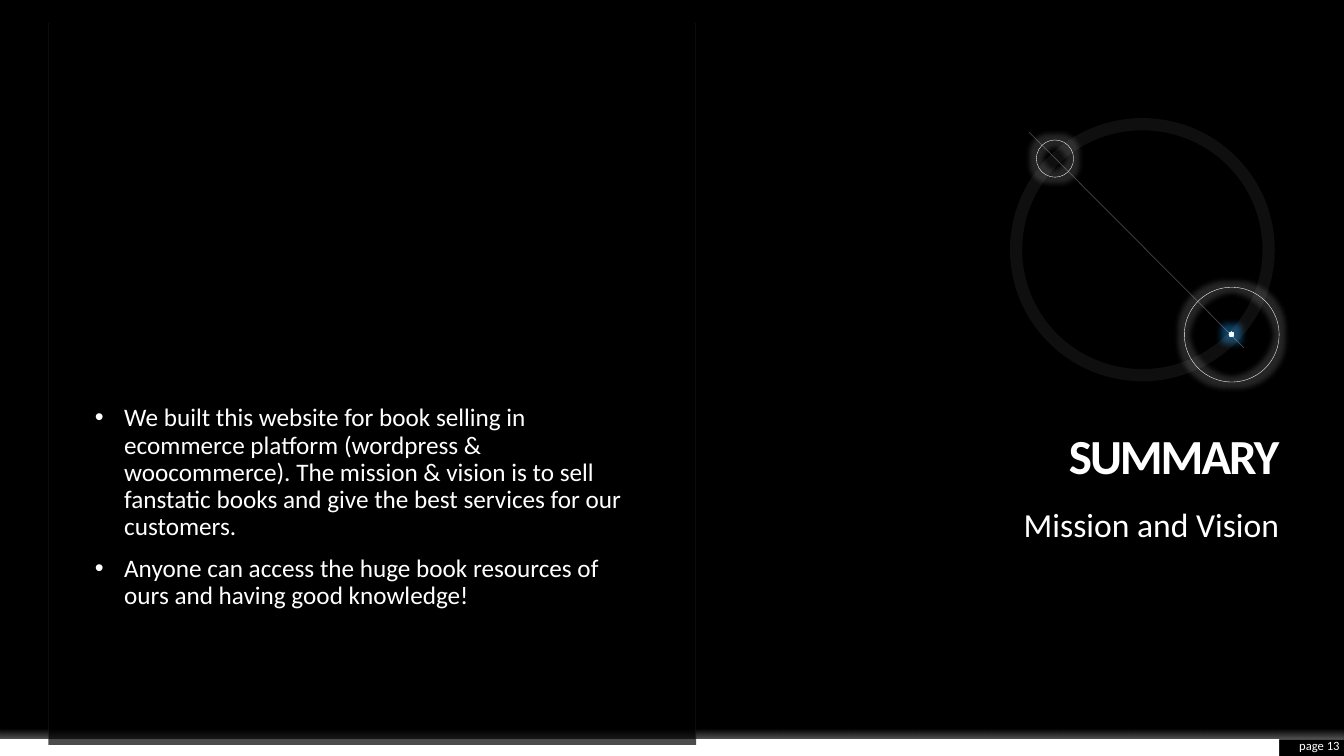
import pptx
import pptx.util
import pptx.oxml
import pptx.oxml.ns
import pptx.dml.color
import pptx.enum.shapes
import pptx.enum.text

Pt = pptx.util.Pt
Color = pptx.dml.color.RGBColor
Shape = pptx.enum.shapes.MSO_SHAPE
Anchor = pptx.enum.text.MSO_ANCHOR
Align = pptx.enum.text.PP_ALIGN
qn = pptx.oxml.ns.qn

BLACK = Color(0, 0, 0)
WHITE = Color(255, 255, 255)
PALE = Color(0xF2, 0xF2, 0xF2)
GRAY = Color(0xE7, 0xE6, 0xE6)
BLUE = Color(0x1E, 0x90, 0xE0)
FROST = Color(0xF7, 0xFF, 0xFF)
SKY = Color(0xC1, 0xE4, 0xFF)
DOWN = '<a:lin ang="5400000" scaled="0"/>'
ROUND = ('<a:path path="circle"><a:fillToRect l="50000" t="50000" '
         'r="50000" b="50000"/></a:path>')


def xml(tag, inner="", attrs=""):
    space = pptx.oxml.ns.nsdecls("a")
    return pptx.oxml.parse_xml(f"<a:{tag} {space} {attrs}>{inner}</a:{tag}>")


def tint(color, alpha):
    return (f'<a:srgbClr val="{color}">'
            f'<a:alpha val="{alpha * 1000}"/></a:srgbClr>')


class Deck:
    font = "Calibri"

    def __init__(self):
        self.file = pptx.Presentation()
        self.file.slide_width = Pt(960)
        self.file.slide_height = Pt(540)
        self.slide = self.file.slides.add_slide(self.file.slide_layouts[5])
        back = self.slide.background.fill
        back.solid()
        back.fore_color.rgb = BLACK

    def fade(self, fill, alpha):
        for node in fill.iter(qn("a:srgbClr")):
            node.append(xml("alpha", attrs=f'val="{alpha * 1000}"'))

    def stroke(self, line, color, width, alpha):
        line.color.rgb = color
        line.width = Pt(width)
        self.fade(line._ln, alpha)

    def shape(self, kind, box, fill=None, alpha=100):
        item = self.slide.shapes.add_shape(kind, *map(Pt, box))
        item.shadow.inherit = False
        item.line.fill.background()
        if fill is None:
            item.fill.background()
        else:
            item.fill.solid()
            item.fill.fore_color.rgb = fill
            self.fade(item.element.spPr.find(qn("a:solidFill")), alpha)
        return item

    def blend(self, kind, box, stops, flow):
        item = self.shape(kind, box)
        marks = "".join(f'<a:gs pos="{at * 1000}">{tint(color, alpha)}</a:gs>'
                        for at, color, alpha in stops)
        props = item.element.spPr
        grad = xml("gradFill", f"<a:gsLst>{marks}</a:gsLst>{flow}",
                   'rotWithShape="1"')
        props.replace(props.find(qn("a:noFill")), grad)
        return item

    def ring(self, box, width=0.25, alpha=100):
        item = self.shape(Shape.OVAL, box)
        self.stroke(item.line, WHITE, width, alpha)
        return item

    def glow(self, item, color, size, alpha):
        halo = xml("glow", tint(color, alpha), f'rad="{Pt(size)}"')
        item.element.spPr.find(qn("a:effectLst")).append(halo)

    def line(self, ends, color, width, alpha):
        kind = pptx.enum.shapes.MSO_CONNECTOR.STRAIGHT
        item = self.slide.shapes.add_connector(kind, *map(Pt, ends))
        self.stroke(item.line, color, width, alpha)
        item.element.spPr.append(xml("effectLst"))

    def text(self, item, lines, size, align=Align.RIGHT, anchor=Anchor.TOP,
             lead=0.9, bold=False, track=0, dots=False):
        frame = item.text_frame
        frame.word_wrap = True
        frame.auto_size = pptx.enum.text.MSO_AUTO_SIZE.NONE
        frame.vertical_anchor = anchor
        frame.margin_left = frame.margin_right = 0
        frame.margin_top = frame.margin_bottom = 0
        for place, words in enumerate(lines):
            para = frame.add_paragraph() if place else frame.paragraphs[0]
            para.alignment = align
            para.line_spacing = lead
            para.space_before = Pt(10 if place else 0)
            if dots:
                props = para._p.get_or_add_pPr()
                props.set("marL", str(Pt(21)))
                props.set("indent", str(Pt(-21)))
                props.append(xml("buFont", attrs='typeface="Arial"'))
                props.append(xml("buChar", attrs='char="•"'))
            run = para.add_run()
            run.text = words
            run.font.name = self.font
            run.font.size = Pt(size)
            run.font.bold = bold
            run.font.color.rgb = WHITE
            if track:
                run._r.get_or_add_rPr().set("spc", str(int(track * 100)))

    def label(self, box, lines, size, **style):
        item = self.slide.shapes.add_textbox(*map(Pt, box))
        self.text(item, lines, size, **style)

    def title(self, box, words, size, **style):
        item = self.slide.shapes.title
        item.left, item.top, item.width, item.height = map(Pt, box)
        self.text(item, [words], size, **style)


def main():
    deck = Deck()
    deck.shape(Shape.RECTANGLE, (0, 528, 913.7, 12), WHITE)
    deck.blend(Shape.RECTANGLE, (0, 515.6, 960, 12.4),
               [(40, WHITE, 0), (100, WHITE, 35)], DOWN)
    deck.shape(Shape.RECTANGLE, (34.5, 306.7, 462.7, 225.4), BLACK, 70)
    for left in (497, 34.5):
        deck.line((left, 16.6, left, 528), PALE, 0.25, 15)

    for box in ((846, 205.2, 67.7, 67.7), (740.3, 100, 26.6, 26.6)):
        deck.glow(deck.ring(box), WHITE, 8, 15)
    core = deck.blend(Shape.OVAL, (877.8, 237, 3.7, 3.7),
                      [(0, WHITE, 100), (65, FROST, 100), (70, SKY, 100)],
                      ROUND)
    deck.glow(core, BLUE, 10, 45)
    deck.ring((725.8, 88.7, 180.4, 179.3), 8.75, 6)
    deck.line((735.1, 94.4, 888.5, 248.4), GRAY, 0.5, 30)

    deck.title((513.4, 289.4, 400.3, 56.9), "SUMMARY", 35,
               anchor=Anchor.BOTTOM, bold=True, track=-1.5)
    deck.label((513.4, 362.9, 400.3, 141.8), ["Mission and Vision"], 24)
    deck.label((67.7, 289.4, 395.3, 214.6), [
        "We built this website for book selling in ecommerce platform "
        "(wordpress & woocommerce). The mission & vision is to sell "
        "fanstatic books and give the best services for our customers.",
        "Anyone can access the huge book resources of ours and having "
        "good knowledge!",
    ], 18, align=Align.LEFT, dots=True)
    deck.label((913.7, 526.5, 43.2, 12.2), ["page 13"], 9,
               anchor=Anchor.MIDDLE, lead=1.0)
    deck.file.save("out.pptx")


if __name__ == "__main__":
    main()
